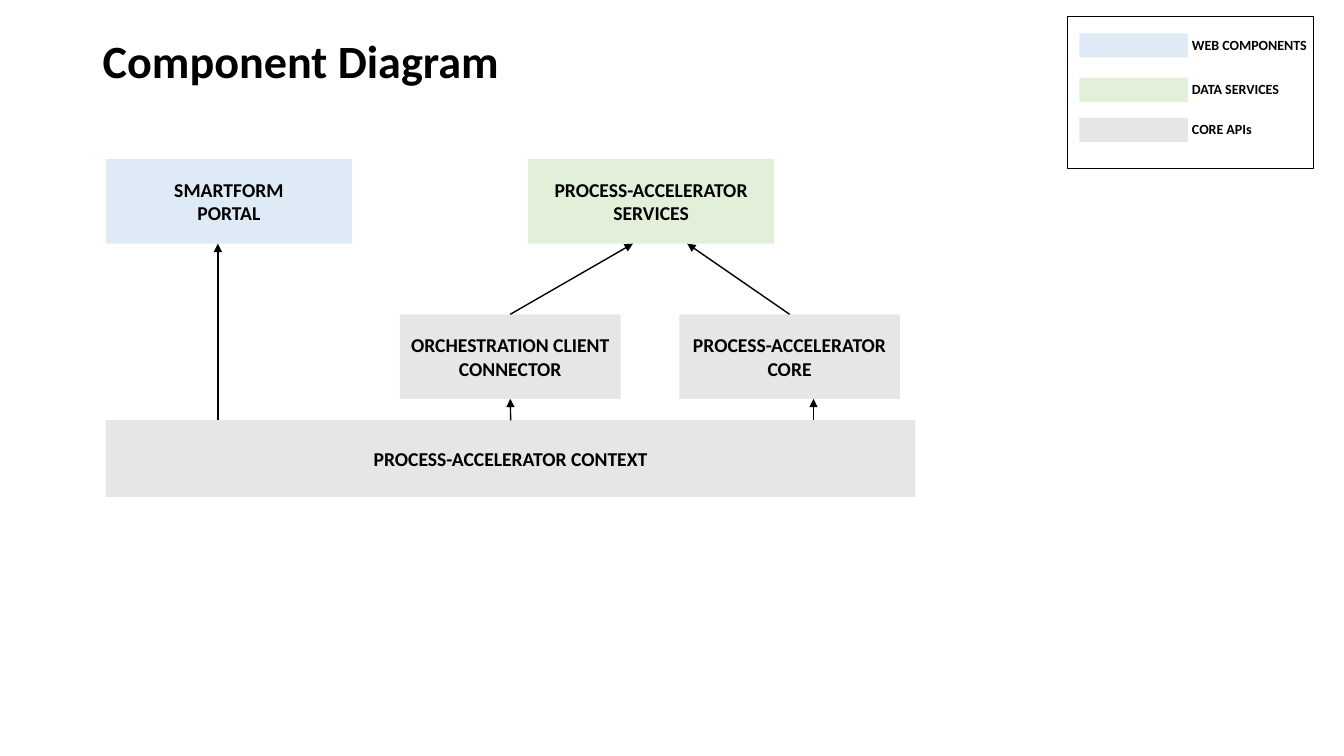
from lxml.etree import SubElement
from pptx import Presentation
from pptx.dml.color import RGBColor
from pptx.enum.shapes import MSO_CONNECTOR, MSO_SHAPE
from pptx.enum.text import MSO_ANCHOR, MSO_AUTO_SIZE, PP_ALIGN
from pptx.oxml.ns import qn
from pptx.util import Cm, Pt

BLACK = "000000"
WEB, DATA, CORE = "DEEBF7", "E2F0D9", "E7E6E6"
TOP, BOTTOM = 0, 2

SERVICE_Y, CORE_Y, CONTEXT_Y = 4.01, 7.92, 10.59
BOX_H = 2.13
SERVICE_BOTTOM = SERVICE_Y + BOX_H
CORE_BOTTOM = CORE_Y + BOX_H

# label, colour, swatch top, label width
LEGEND = [
    ("WEB COMPONENTS", WEB, 0.84, 3.45),
    ("DATA SERVICES", DATA, 1.96, 2.79),
    ("CORE APIs", CORE, 2.97, 2.03),
]


def rgb(value):
    return RGBColor.from_string(value)


def write(tf, text, size, **paragraph_format):
    """Fill a text frame in bold black, one paragraph per line of text."""
    for i, line in enumerate(text.split("\n")):
        p = tf.add_paragraph() if i else tf.paragraphs[0]
        for name, value in paragraph_format.items():
            setattr(p, name, value)
        r = p.add_run()
        r.text = line
        for name, value in {"name": "Calibri", "size": Pt(size), "bold": True}.items():
            setattr(r.font, name, value)
        r.font.color.rgb = rgb(BLACK)


def add_rect(shapes, x, y, w, h, fill=None):
    """Add a borderless filled rectangle, or a black outline if no fill is given."""
    sp = shapes.add_shape(MSO_SHAPE.RECTANGLE, Cm(x), Cm(y), Cm(w), Cm(h))
    sp.shadow.inherit = False
    if fill:
        sp.fill.solid()
        sp.fill.fore_color.rgb = rgb(fill)
        sp.line.fill.background()
    else:
        sp.fill.background()
        sp.line.color.rgb = rgb(BLACK)
        sp.line.width = Pt(1)
    return sp


def add_component(shapes, text, x, y, w, h, fill):
    sp = add_rect(shapes, x, y, w, h, fill)
    tf = sp.text_frame
    tf.word_wrap = True
    tf.vertical_anchor = MSO_ANCHOR.MIDDLE
    write(tf, text, 14, alignment=PP_ALIGN.CENTER)
    return sp


def add_text(shapes, text, x, y, w, h, size, frame_format, **paragraph_format):
    tf = shapes.add_textbox(Cm(x), Cm(y), Cm(w), Cm(h)).text_frame
    for name, value in frame_format.items():
        setattr(tf, name, value)
    write(tf, text, size, **paragraph_format)


def add_arrow(shapes, x1, y1, x2, y2, begin=None, end=None):
    """Add an arrow; begin and end are optional (shape, side) joints."""
    line = shapes.add_connector(MSO_CONNECTOR.STRAIGHT, Cm(x1), Cm(y1), Cm(x2), Cm(y2))
    if begin:
        line.begin_connect(*begin)
    if end:
        line.end_connect(*end)
    line.line.color.rgb = rgb(BLACK)
    line.line.width = Pt(1)
    SubElement(line.line._get_or_add_ln(), qn("a:tailEnd"), type="triangle")
    SubElement(line._element.spPr, qn("a:effectLst"))


def add_legend(shapes):
    group = shapes.add_group_shape().shapes
    add_rect(group, 26.9, 0.41, 6.2, 3.84)
    label_format = {"word_wrap": False, "auto_size": MSO_AUTO_SIZE.SHAPE_TO_FIT_TEXT}
    for label, fill, y, width in LEGEND:
        add_rect(group, 27.2, y, 2.74, 0.61, fill)
        add_text(group, label, 29.79, y - 0.05, width, 0.69, 10, label_format)


def main():
    prs = Presentation()
    prs.slide_width, prs.slide_height = Cm(33.87), Cm(19.05)
    shapes = prs.slides.add_slide(prs.slide_layouts[6]).shapes

    title_format = {"word_wrap": True, "vertical_anchor": MSO_ANCHOR.MIDDLE}
    add_text(shapes, "Component Diagram", 2.34, 1.02, 29.21, 1.35, 33,
             title_format, line_spacing=0.7)

    core = add_component(shapes, "PROCESS-ACCELERATOR CORE",
                         17.12, CORE_Y, 5.56, BOX_H, CORE)
    connector = add_component(shapes, "ORCHESTRATION CLIENT CONNECTOR",
                              10.08, CORE_Y, 5.56, BOX_H, CORE)
    context = add_component(shapes, "PROCESS-ACCELERATOR CONTEXT",
                            2.67, CONTEXT_Y, 20.4, 1.93, CORE)
    add_component(shapes, "PROCESS-ACCELERATOR SERVICES",
                  13.31, SERVICE_Y, 6.2, BOX_H, DATA)
    add_component(shapes, "SMARTFORM\nPORTAL", 2.67, SERVICE_Y, 6.2, BOX_H, WEB)

    add_arrow(shapes, 5.49, CONTEXT_Y, 5.49, SERVICE_BOTTOM)
    add_arrow(shapes, 12.86, CORE_Y, 15.95, SERVICE_BOTTOM, begin=(connector, TOP))
    add_arrow(shapes, 19.9, CORE_Y, 17.32, SERVICE_BOTTOM, begin=(core, TOP))
    add_arrow(shapes, 12.86, CONTEXT_Y, 12.86, CORE_BOTTOM,
              begin=(context, TOP), end=(connector, BOTTOM))
    add_arrow(shapes, 20.5, CONTEXT_Y, 20.5, CORE_BOTTOM)

    add_legend(shapes)
    prs.save("out.pptx")


if __name__ == "__main__":
    main()
